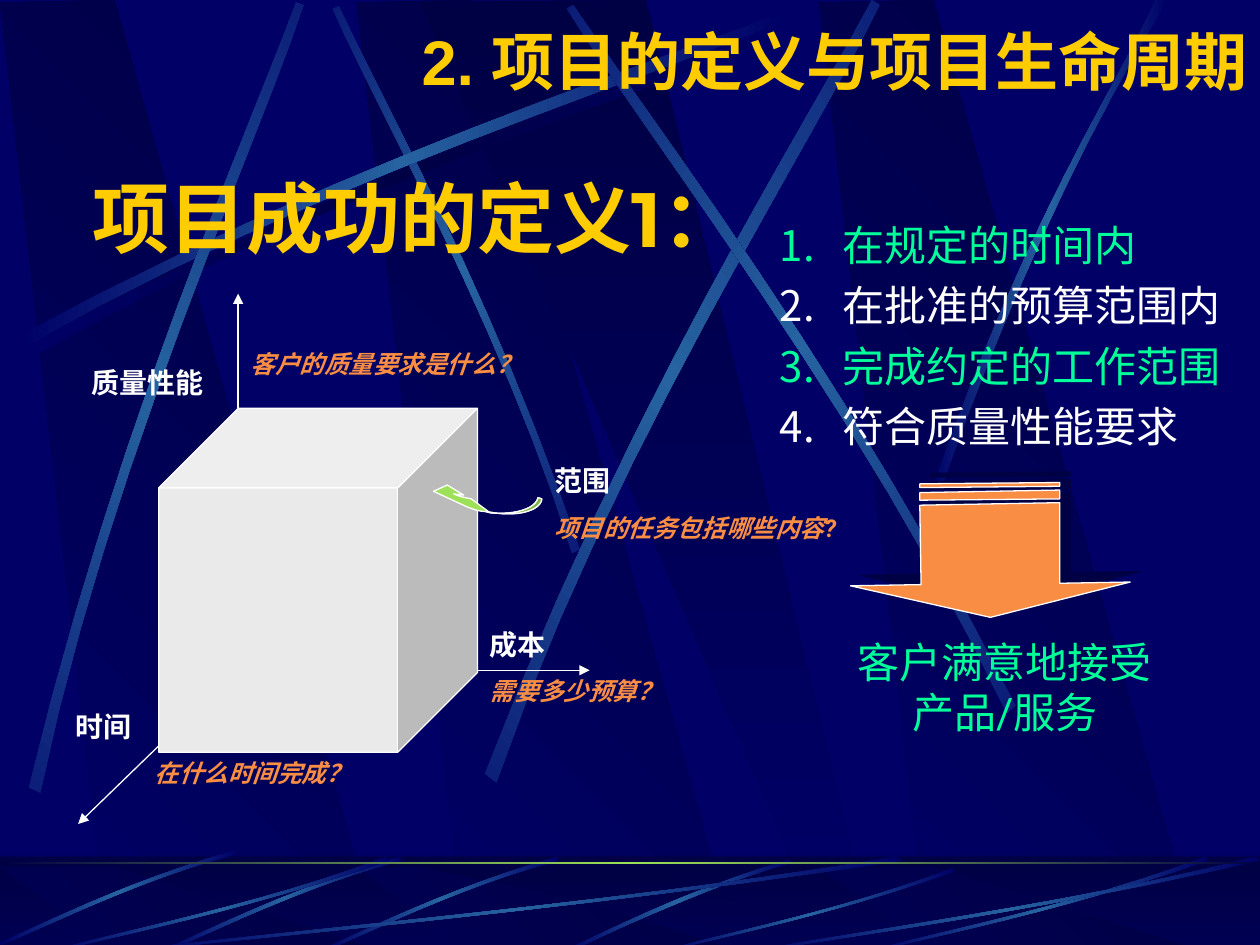
"""Build the slide that defines project success."""
import math

from lxml import etree
from pptx import Presentation
from pptx.dml.color import RGBColor
from pptx.enum.shapes import MSO_CONNECTOR, MSO_SHAPE
from pptx.enum.text import MSO_ANCHOR, PP_ALIGN
from pptx.oxml.ns import qn
from pptx.util import Inches, Pt

RECT, CUBE = MSO_SHAPE.RECTANGLE, MSO_SHAPE.CUBE
STRAIGHT = MSO_CONNECTOR.STRAIGHT
LEFT, CENTER, RIGHT = PP_ALIGN.LEFT, PP_ALIGN.CENTER, PP_ALIGN.RIGHT
TOP, MIDDLE = MSO_ANCHOR.TOP, MSO_ANCHOR.MIDDLE

NAVY, DARK, STEEL, LIME = "000066", "000044", "2663A0", "9CE157"
WHITE, GREEN, ORANGE, GOLD = "FFFFFF", "00FF99", "F98D43", "FFCC00"
BEAM = [(0, NAVY), (50, STEEL), (100, NAVY)]
SHADE = [(0, DARK), (100, NAVY)]

SLANT = "M .86 7.5 L 3.02 7.52 L .91 0 L 0 .02"
WEDGE = "M 3.33 .01 L 6.58 7.51 L 6.94 7.51 L 5.13 0"
SWEEP = "M .14 2.67 C 2.78 1.25 5.18 .51 6.2 .1 L 6.23 .16 C 5.22 .61 2.48 1.43 .17 2.77"
TILTED = [
    ("M 4.6 4.36 C 3.91 2.34 3.02 .77 2.69 .05 L 2.64 .07 C 2.95 .79 3.98 2.58 4.54 4.39", 45),
    (SWEEP, 0),
    ("M .23 6.25 C .93 3.34 1.97 1.05 2.35 .02 L 2.41 .04 C 2.07 1.08 .86 3.68 .32 6.29", 311.7),
    ("M 3.85 6.14 C 4.98 3.2 6.38 1.02 6.92 0 L 6.98 .04 C 6.49 1.08 4.86 3.55 3.94 6.21", 321.6),
    ("M 8.06 5.6 C 6.7 2.93 5.16 .95 4.55 .04 L 4.5 .07 C 5.07 1.01 6.85 3.25 7.99 5.66", 34.8),
    ("M 7.38 3.93 C 8.14 1.73 8.88 .66 9.17 0 L 9.27 0 C 8.36 1.45 7.69 3.22 7.44 3.97", 0),
]
FLOOR_STEEP = "M 6.27 6.82 C 5.37 7.09 4.77 7.42 4.48 7.54 L 4.53 7.55 C 4.9 7.37 5.71 7 6.28 6.85"
FLOOR_SHORT = "M 4.42 6.8 C 3.55 7.05 2.87 7.4 2.56 7.53 L 2.57 7.55 C 2.88 7.43 3.65 7.03 4.44 6.83"
FLOOR_LONG = "M 1 .04 C .57 .57 .17 .85 .01 1 L 0 .99 C .17 .81 .62 .51 .99 0"
ARROW = ("M 8.41 3.99 L 8.41 4.63 L 8.97 4.62 L 7.86 4.9 L 6.75 4.65 L 7.31 4.64 L 7.3 4.01 "
         "M 8.41 3.83 L 8.41 3.86 L 7.3 3.87 L 7.3 3.84 "
         "M 8.41 3.89 L 8.41 3.96 L 7.3 3.97 L 7.3 3.91")
SWOOSH = ("M 4.3 3.96 C 4.29 4.05 4.12 4.1 3.92 4.07 L 3.85 4.06 C 3.8 4.06 3.75 4.04 3.7 4.02 "
          "L 3.44 3.9 L 3.55 3.85 L 3.68 3.93 L 3.6 3.92 C 3.64 3.94 3.69 3.95 3.74 3.96 "
          "L 3.89 4.07 C 4.08 4.09 4.25 4.04 4.27 3.95")
SWOOSH_TAIL = ("M 4.3 3.96 C 4.29 4.05 4.12 4.1 3.92 4.07 L 3.85 4.06 L 3.89 4.07 "
               "C 4.08 4.09 4.25 4.04 4.27 3.95")

AXIS = {"size": Pt(16), "bold": True}
QUESTION = {"size": Pt(14), "bold": True, "italic": True}
BODY = {"size": Pt(24)}
LABELS = [
    ((4.3, 4.02, 2.79, .34), "项目的任务包括哪些内容?", QUESTION, ORANGE),
    ((3.79, 4.93, 1.14, .37), "成本", AXIS, WHITE),
    ((.63, 2.85, 1.57, .37), "质量性能", AXIS, WHITE),
    ((.5, 5.58, 1.14, .37), "时间", AXIS, WHITE),
    ((3.79, 5.32, 1.89, .34), "需要多少预算？", QUESTION, ORANGE),
    ((1.89, 2.72, 2.58, .34), "客户的质量要求是什么？", QUESTION, ORANGE),
    ((1.13, 5.97, 2.03, .34), "在什么时间完成？", QUESTION, ORANGE),
    ((4.3, 3.63, 1.57, .37), "范围", AXIS, WHITE),
]
AXES = [(3.79, 5.32, 4.68, 5.32), (1.89, 3.24, 1.89, 2.33), (1.26, 5.92, .62, 6.54)]
CRITERIA = ["在规定的时间内", "在批准的预算范围内", "完成约定的工作范围", "符合质量性能要求"]


def rgb(value):
    """Turn a hex string into a colour."""
    return RGBColor.from_string(value)


def add_xml(parent, tag, **attrs):
    """Append a drawing element with attributes."""
    return etree.SubElement(parent, qn(tag), {k: str(v) for k, v in attrs.items()})


def paint(sp, fill, angle=0, line=None):
    """Fill with one colour or gradient stops, and set the outline."""
    sp.shadow.inherit = False
    if isinstance(fill, str):
        sp.fill.solid()
        sp.fill.fore_color.rgb = rgb(fill)
    else:
        sp.fill.gradient()
        sp.fill.gradient_angle = -angle % 360
        stops = next(sp._element.spPr.iter(qn("a:gsLst")))
        for stop in list(stops):
            stops.remove(stop)
        for pos, color in fill:
            add_xml(add_xml(stops, "a:gs", pos=pos * 1000), "a:srgbClr", val=color)
    if line:
        sp.line.color.rgb = rgb(line)
        sp.line.width = Pt(.75)
    else:
        sp.line.fill.background()


def shape(slide, kind, box, fill, angle=0, line=None):
    """Add a painted preset shape."""
    sp = slide.shapes.add_shape(kind, *map(Inches, box))
    paint(sp, fill, angle, line)
    return sp


def turn(x, y, degrees):
    """Rotate a point clockwise about the origin."""
    a = math.radians(degrees)
    return x * math.cos(a) - y * math.sin(a), x * math.sin(a) + y * math.cos(a)


def contours(path, steps=12):
    """Read a path string into lists of points, with curves sampled."""
    result = []
    for token in path.replace("M", "|M").replace("L", "|L").replace("C", "|C").split("|")[1:]:
        nums = [float(n) for n in token[1:].split()]
        pts = list(zip(nums[::2], nums[1::2]))
        if token[0] == "M":
            result.append(pts)
        elif token[0] == "L":
            result[-1] += pts
        else:
            ctrl = [result[-1][-1]] + pts
            for t in (i / steps for i in range(1, steps + 1)):
                w = ((1 - t) ** 3, 3 * t * (1 - t) ** 2, 3 * t * t * (1 - t), t ** 3)
                result[-1].append(tuple(sum(k * c[d] for k, c in zip(w, ctrl)) for d in (0, 1)))
    return result


def outline(slide, path, fill, angle=0, line=None, rot=0, scale=(1, 1), shift=(0, 0)):
    """Add a freeform whose path shows as given after rotation."""
    rings = [[tuple(Inches(v) for v in turn(x * scale[0] + shift[0], y * scale[1] + shift[1], -rot))
              for x, y in ring] for ring in contours(path)]
    builder = slide.shapes.build_freeform(*rings[0][0])
    for i, ring in enumerate(rings):
        if i:
            builder.move_to(*ring[0])
        builder.add_line_segments(ring[1:], close=True)
    sp = builder.convert_to_shape()
    cx, cy = turn(sp.left + sp.width / 2, sp.top + sp.height / 2, rot)
    sp.left, sp.top = round(cx - sp.width / 2), round(cy - sp.height / 2)
    sp.rotation = rot
    paint(sp, fill, angle, line)
    return sp


def text(slide, box, lines, fmt, colors, font="Roboto", align=LEFT, anchor=TOP, wrap=True):
    """Add a text box, cycling the colours over its lines."""
    tf = slide.shapes.add_textbox(*map(Inches, box)).text_frame
    tf.word_wrap, tf.vertical_anchor = wrap, anchor
    for i, line in enumerate(lines):
        p = tf.paragraphs[0] if i == 0 else tf.add_paragraph()
        p.alignment = align
        r = p.add_run()
        r.text = line
        for name, value in {"name": font, **fmt}.items():
            setattr(r.font, name, value)
        r.font.color.rgb = rgb(colors[i % len(colors)])
    return tf


def number(tf, colors):
    """Number the paragraphs with coloured figures."""
    for i, p in enumerate(tf.paragraphs):
        p.line_spacing = 1.2
        pPr = p._p.get_or_add_pPr()
        pPr.set("marL", str(Inches(.5)))
        pPr.set("indent", str(Inches(-.5)))
        add_xml(add_xml(pPr, "a:buClr"), "a:srgbClr", val=colors[i % len(colors)])
        add_xml(pPr, "a:buAutoNum", type="arabicPeriod")


def axis(slide, ends):
    """Add a white axis with an arrowhead at its far end."""
    cn = slide.shapes.add_connector(STRAIGHT, *map(Inches, ends))
    cn.line.color.rgb = rgb(WHITE)
    cn.line.width = Pt(.75)
    add_xml(cn.line._get_or_add_ln(), "a:tailEnd", type="triangle")
    add_xml(cn._element.spPr, "a:effectLst")


def bands(slide, scale=1, top=0):
    """Draw the slanted dark bands."""
    for x in (2.83, 0, 6.5):
        outline(slide, SLANT, SHADE, 135, scale=(1, scale), shift=(x, top))
    outline(slide, WEDGE, SHADE, 90, scale=(1, scale), shift=(0, top))


def backdrop(slide):
    """Draw the beams, the floor and its bright edge."""
    bands(slide)
    outline(slide, SWEEP, [(0, NAVY), (50, DARK), (100, NAVY)], 180, shift=(.06, .08))
    for path, rot in TILTED:
        outline(slide, path, BEAM, 180, rot=rot)
    shape(slide, RECT, (0, 6.8, 10, .75), SHADE, 90)
    bands(slide, .088, 6.88)
    veil = shape(slide, RECT, (0, 6.79, 10, .75), DARK)
    add_xml(next(veil._element.spPr.iter(qn("a:srgbClr"))), "a:alpha", val=50000)
    outline(slide, FLOOR_STEEP, BEAM, 180)
    for shift in ((0, 0), (-1.25, 0), (-2.56, -.05)):
        outline(slide, FLOOR_SHORT, BEAM, 180, shift=shift)
    for x, y, w, h in ((1, 6.8, 6.17, .75), (.42, 6.8, 2.67, .75), (5.27, 6.89, 2.31, .66),
                       (6.92, 6.8, 2.67, .75), (6, 6.8, 4, .75)):
        outline(slide, FLOOR_LONG, BEAM, 180, scale=(w, h), shift=(x, y))
    shape(slide, RECT, (0, 6.84, 10, .02), [(0, DARK), (50, LIME), (100, DARK)], 180)


def main():
    """Build and save the slide."""
    prs = Presentation()
    prs.slide_width, prs.slide_height = Inches(10), Inches(7.5)
    slide = prs.slides.add_slide(prs.slide_layouts[6])
    slide.background.fill.solid()
    slide.background.fill.fore_color.rgb = rgb(NAVY)
    backdrop(slide)
    number(text(slide, (6.09, 1.61, 3.7, 2.02), CRITERIA, BODY, (GREEN, WHITE), wrap=False),
           (GREEN, WHITE))
    arrow = outline(slide, ARROW, ORANGE, line=WHITE, rot=89.4)
    shadow = add_xml(arrow._element.spPr.find(qn("a:effectLst")), "a:outerShdw",
                     dist=Pt(8.5), dir=315 * 60000, rotWithShape=0)
    add_xml(shadow, "a:srgbClr", val=DARK)
    text(slide, (6.71, 5, 2.53, .9), ["客户满意地接受", "产品/服务"], BODY, [GREEN],
         align=CENTER, wrap=False)
    for box, label, fmt, color in LABELS:
        text(slide, box, [label], fmt, [color])
    shape(slide, CUBE, (1.26, 3.24, 2.53, 2.73), "EAEAEA", line=WHITE).adjustments[0] = .25
    for ends in AXES:
        axis(slide, ends)
    for path, fill in ((SWOOSH, LIME), (SWOOSH_TAIL, "7DB446")):
        outline(slide, path, fill, line=WHITE, rot=98.1)
    text(slide, (.27, 1.3, 6.06, .84), ["项目成功的定义1："], {"size": Pt(44), "bold": True},
         [GOLD], "Montserrat", CENTER, MIDDLE)
    text(slide, (3.08, .13, 6.92, .7), ["2. 项目的定义与项目生命周期"],
         {"size": Pt(36), "bold": True}, [GOLD], "Arial", RIGHT, MIDDLE)
    prs.save("out.pptx")


main()
